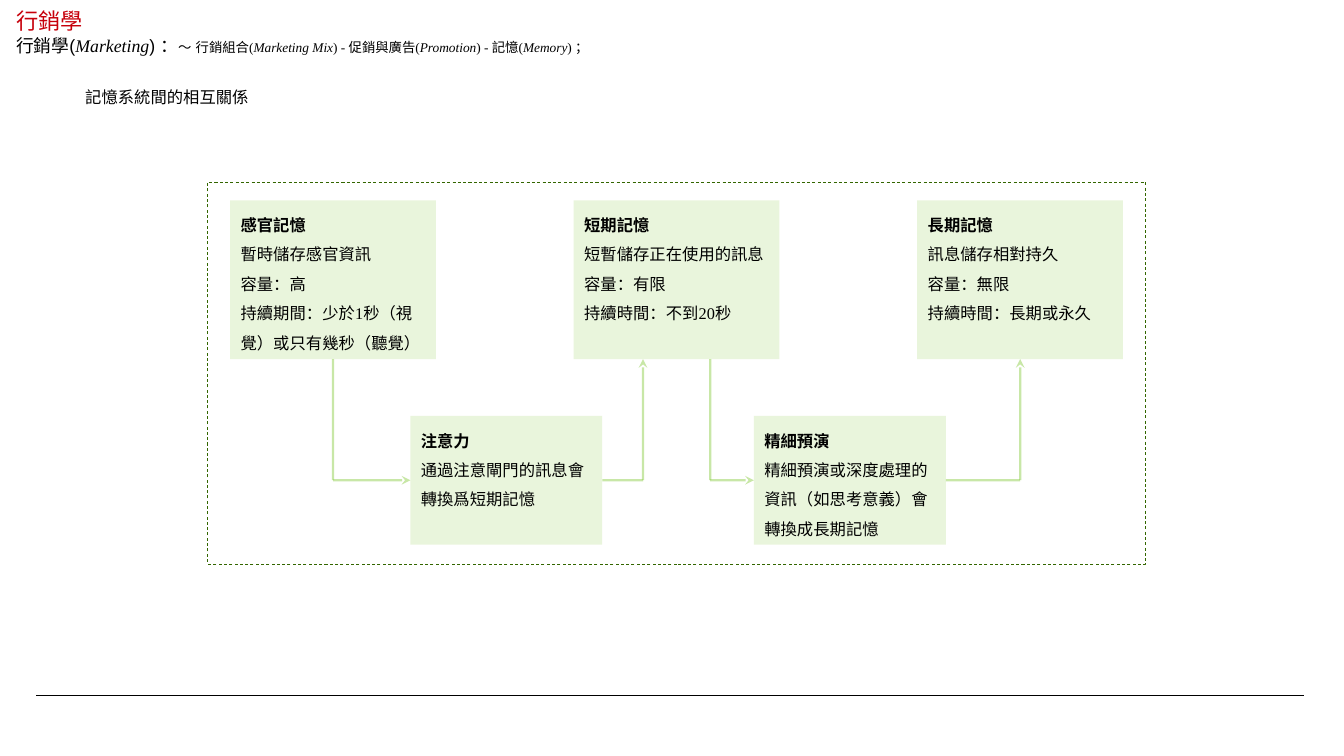
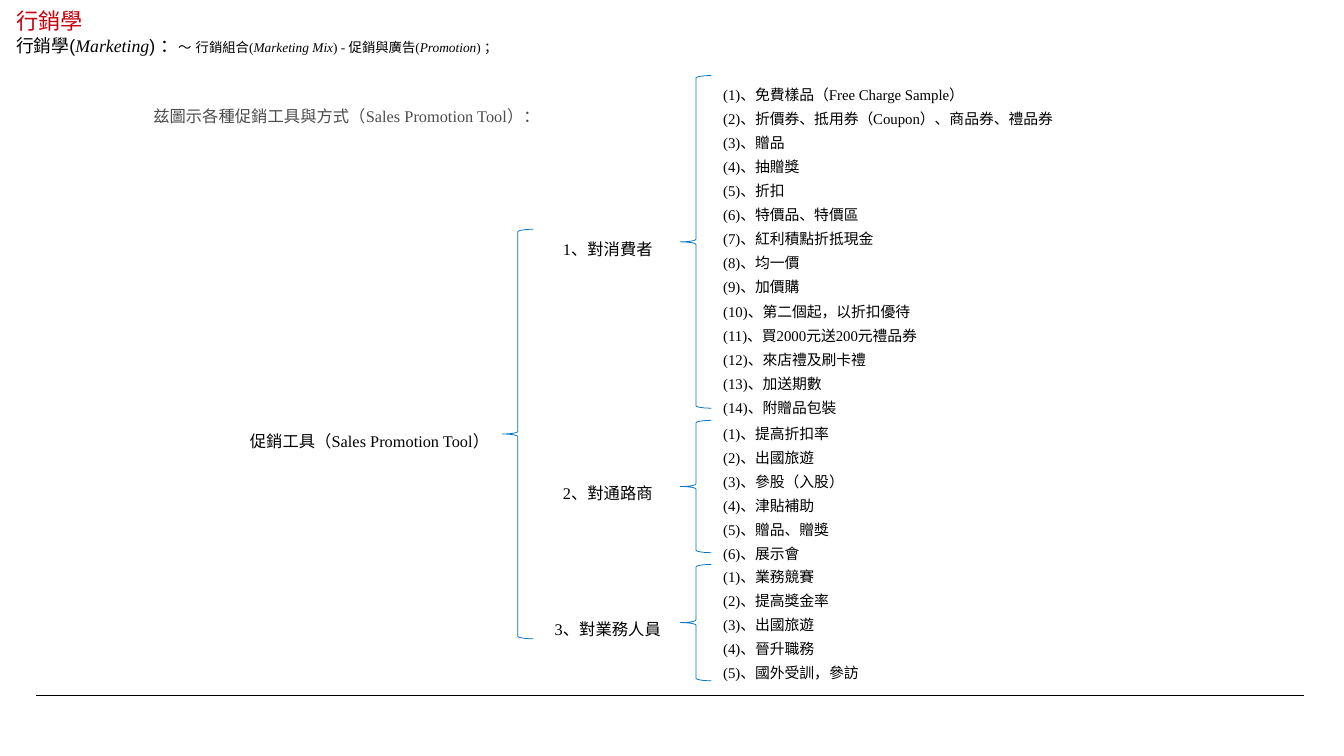
from lxml import etree
from pptx import Presentation
from pptx.dml.color import RGBColor
from pptx.enum import dml, shapes, text
from pptx.oxml.ns import qn
from pptx.util import Cm, Pt

COLOURS = {"title": "C7000B", "ink": "000000", "grey": "4D4D4D",
           "green": "92D050", "frame": "336600", "brace": "0070C0"}
SANS, SERIF = "Arial", "Times New Roman"

# Each span: text, size, font, italic
HEADING = [("行銷學(", 12, SANS, False), ("Marketing", 12, SERIF, True),
           (") ：", 12, SANS, False), ("～", 9, SANS, False), (" ", 13, SANS, False),
           ("行銷組合(", 9, SERIF, False), ("Marketing Mix", 9, SERIF, True),
           (") - 促銷與廣告(", 9, SERIF, False), ("Promotion", 9, SERIF, True)]
MEMORY = [(") - 記憶(", 9, SERIF, False), ("Memory", 9, SERIF, True)]
CLOSING = [(") ；", 9, SERIF, False)]

MEMORIES = [
    ["感官記憶", "暫時儲存感官資訊", "容量：高", "持續期間：少於1秒（視覺）或只有幾秒（聽覺）"],
    ["短期記憶", "短暫儲存正在使用的訊息", "容量：有限", "持續時間：不到20秒"],
    ["長期記憶", "訊息儲存相對持久", "容量：無限", "持續時間：長期或永久"],
]
GATES = [
    ["注意力", "通過注意閘門的訊息會轉換爲短期記憶"],
    ["精細預演", "精細預演或深度處理的資訊（如思考意義）會轉換成長期記憶"],
]

# Each group: label, brace top, brace height, list top, items
TOOL_GROUPS = [
    ("1、對消費者", 1.8, 7.92, 1.9,
     ["免費樣品（Free Charge Sample）", "折價券、抵用券（Coupon）、商品券、禮品券", "贈品",
      "抽贈獎", "折扣", "特價品、特價區", "紅利積點折抵現金", "均一價", "加價購",
      "第二個起，以折扣優待", "買2000元送200元禮品券", "來店禮及刷卡禮", "加送期數",
      "附贈品包裝"]),
    ("2、對通路商", 10.01, 3.15, 9.97,
     ["提高折扣率", "出國旅遊", "參股（入股）", "津貼補助", "贈品、贈獎", "展示會"]),
    ("3、對業務人員", 13.44, 2.77, 13.37,
     ["業務競賽", "提高獎金率", "出國旅遊", "晉升職務", "國外受訓，參訪"]),
]


def colour(name):
    return RGBColor.from_string(COLOURS[name])


def add_span(para, words, size, font=SERIF, ink="ink", bold=False, italic=False):
    span = para.add_run()
    span.text = words
    span.font.name, span.font.size = font, Pt(size)
    span.font.bold, span.font.italic = bold, italic
    span.font.color.rgb = colour(ink)


def write_lines(frame, lines, size=11, spacing=1.5, ink="ink",
                align=text.PP_ALIGN.LEFT, bold_first=False):
    frame.word_wrap = True
    frame.vertical_anchor = text.MSO_ANCHOR.TOP
    for index, words in enumerate(lines):
        para = frame.add_paragraph() if index else frame.paragraphs[0]
        para.alignment, para.line_spacing = align, spacing
        add_span(para, words, size, ink=ink, bold=bold_first and index == 0)


def add_text(page, left, top, width, height, lines, **style):
    box = page.shapes.add_textbox(Cm(left), Cm(top), Cm(width), Cm(height))
    write_lines(box.text_frame, lines, **style)
    return box


def add_preset(page, kind, left, top, width, height):
    shape = page.shapes.add_shape(kind, Cm(left), Cm(top), Cm(width), Cm(height))
    shape.shadow.inherit = False
    shape.fill.background()
    return shape


def set_opacity(item, percent):
    for tone in item.element.spPr.iter(qn("a:srgbClr")):
        etree.SubElement(tone, qn("a:alpha"), val=str(percent * 1000))


def add_line(page, start, end, ink, weight):
    line = page.shapes.add_connector(shapes.MSO_CONNECTOR.STRAIGHT,
                                     *(Cm(value) for value in (*start, *end)))
    line.line.color.rgb = colour(ink)
    line.line.width = Pt(weight)
    etree.SubElement(line.element.spPr, qn("a:effectLst"))
    return line


def add_flow(page, start, end, arrow=False):
    line = add_line(page, start, end, "green", 1.5)
    set_opacity(line, 50)
    if arrow:
        etree.SubElement(line.element.spPr.find(qn("a:ln")), qn("a:tailEnd"), type="stealth")
    return line


def move_rule_to_master(deck, page):
    rule = add_line(page, (0.86, 16.56), (31.04, 16.56), "ink", 0.5)
    rule.element.nvCxnSpPr.cNvPr.set("id", "20")
    deck.slide_master.shapes.element.append(rule.element)


def place_placeholder(holder, left, top, width, height, anchor):
    holder.left, holder.top = Cm(left), Cm(top)
    holder.width, holder.height = Cm(width), Cm(height)
    frame = holder.text_frame
    frame.auto_size = text.MSO_AUTO_SIZE.NONE
    frame.vertical_anchor = anchor
    para = frame.paragraphs[0]
    para.alignment, para.space_before = text.PP_ALIGN.LEFT, Pt(0)
    return para


def add_page(deck, heading):
    """Add a page with the shared title and its own heading line."""
    page = deck.slides.add_slide(deck.slide_layouts[1])
    title = place_placeholder(page.shapes.title, 0.13, 0.18, 23.67, 0.61,
                              text.MSO_ANCHOR.MIDDLE)
    add_span(title, "行銷學", 15, SANS, "title")
    para = place_placeholder(page.placeholders[1], 0.13, 0.66, 26.49, 0.81,
                             text.MSO_ANCHOR.TOP)
    layout = para._p.get_or_add_pPr()
    layout.set("marL", "0")
    layout.set("indent", "0")
    etree.SubElement(layout, qn("a:buNone"))
    for words, size, font, italic in heading:
        add_span(para, words, size, font, italic=italic)
    return page


def add_card(page, left, top, width, height, lines):
    card = add_preset(page, shapes.MSO_SHAPE.RECTANGLE, left, top, width, height)
    card.fill.solid()
    card.fill.fore_color.rgb = colour("green")
    set_opacity(card, 20)
    card.line.fill.background()
    write_lines(card.text_frame, lines, bold_first=True)
    return card


def draw_memory_flow(page, left, top, width, height):
    """Memories in the upper row, the gates between them in the lower row."""
    frame = add_preset(page, shapes.MSO_SHAPE.RECTANGLE, left, top, width, height)
    frame.line.color.rgb = colour("frame")
    frame.line.width = Pt(0.5)
    frame.line.dash_style = dml.MSO_LINE.DASH

    card_width, card_height, pitch = 4.9, 3.78, 8.18
    gate_width, gate_height = 4.57, 3.07
    first, card_top = left + 0.53, top + 0.43
    gate_first, gate_top = left + 4.82, top + 5.56
    bottom, middle = card_top + card_height, gate_top + gate_height / 2

    memories = [add_card(page, first + index * pitch, card_top, card_width, card_height, lines)
                for index, lines in enumerate(MEMORIES)]
    gates = [add_card(page, gate_first + index * pitch, gate_top, gate_width, gate_height, lines)
             for index, lines in enumerate(GATES)]

    centres = [first + index * pitch + card_width / 2 for index in range(3)]
    # The second memory takes an arrow left of its centre and sends one right of it
    exits = [centres[0], centres[1] + 0.8]
    entries = [centres[1] - 0.8, centres[2]]
    for index, gate in enumerate(gates):
        gate_left = gate_first + index * pitch
        down = add_flow(page, (exits[index], bottom), (exits[index], middle))
        inward = add_flow(page, (exits[index], middle), (gate_left, middle), arrow=True)
        outward = add_flow(page, (gate_left + gate_width, middle), (entries[index], middle))
        upward = add_flow(page, (entries[index], middle), (entries[index], bottom), arrow=True)
        inward.end_connect(gate, 1)
        outward.begin_connect(gate, 3)
        if index == 0:
            down.begin_connect(memories[0], 2)
        else:
            upward.end_connect(memories[2], 2)


def draw_branch(page, label, label_width, left, top, height):
    """A left brace with its label ending at the point of the brace."""
    brace = add_preset(page, shapes.MSO_SHAPE.LEFT_BRACE, left, top, 0.74, height)
    brace.line.color.rgb = colour("brace")
    brace.line.width = Pt(0.5)
    add_text(page, left - label_width, top + height / 2 - 0.43, label_width, 0.86,
             [label], align=text.PP_ALIGN.CENTER)


def draw_tool_tree(page, left):
    draw_branch(page, "促銷工具（Sales Promotion Tool）", 6.32, left, 5.46, 9.75)
    for label, top, height, list_top, items in TOOL_GROUPS:
        draw_branch(page, label, 3.45, left + 4.24, top, height)
        lines = [f"({number})、{item}" for number, item in enumerate(items, 1)]
        listing = add_text(page, left + 5.01, list_top, 8.84, 0.57 * len(items),
                           lines, size=10, spacing=Pt(16.2))
        listing.text_frame.margin_top = listing.text_frame.margin_bottom = 0


def main():
    deck = Presentation()
    deck.slide_width, deck.slide_height = Cm(32), Cm(18)

    page = add_page(deck, HEADING + MEMORY + CLOSING)
    move_rule_to_master(deck, page)
    add_text(page, 1.78, 1.73, 16.64, 0.86, ["記憶系統間的相互關係"])
    draw_memory_flow(page, 4.95, 4.34, 22.33, 9.09)

    page = add_page(deck, HEADING + CLOSING)
    add_text(page, 3.4, 2.16, 10.11, 0.86,
             ["兹圖示各種促銷工具與方式（Sales Promotion Tool）："], ink="grey")
    draw_tool_tree(page, 11.96)

    deck.save("out.pptx")


if __name__ == "__main__":
    main()
